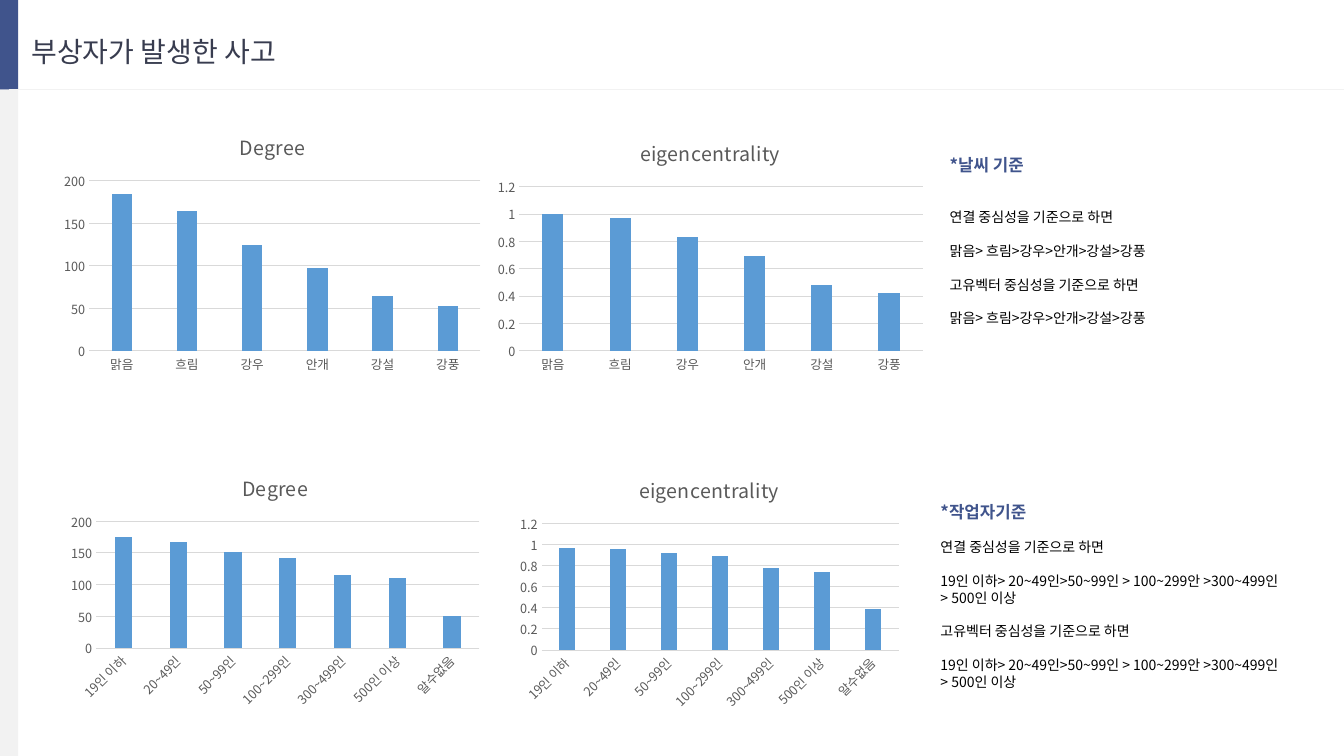
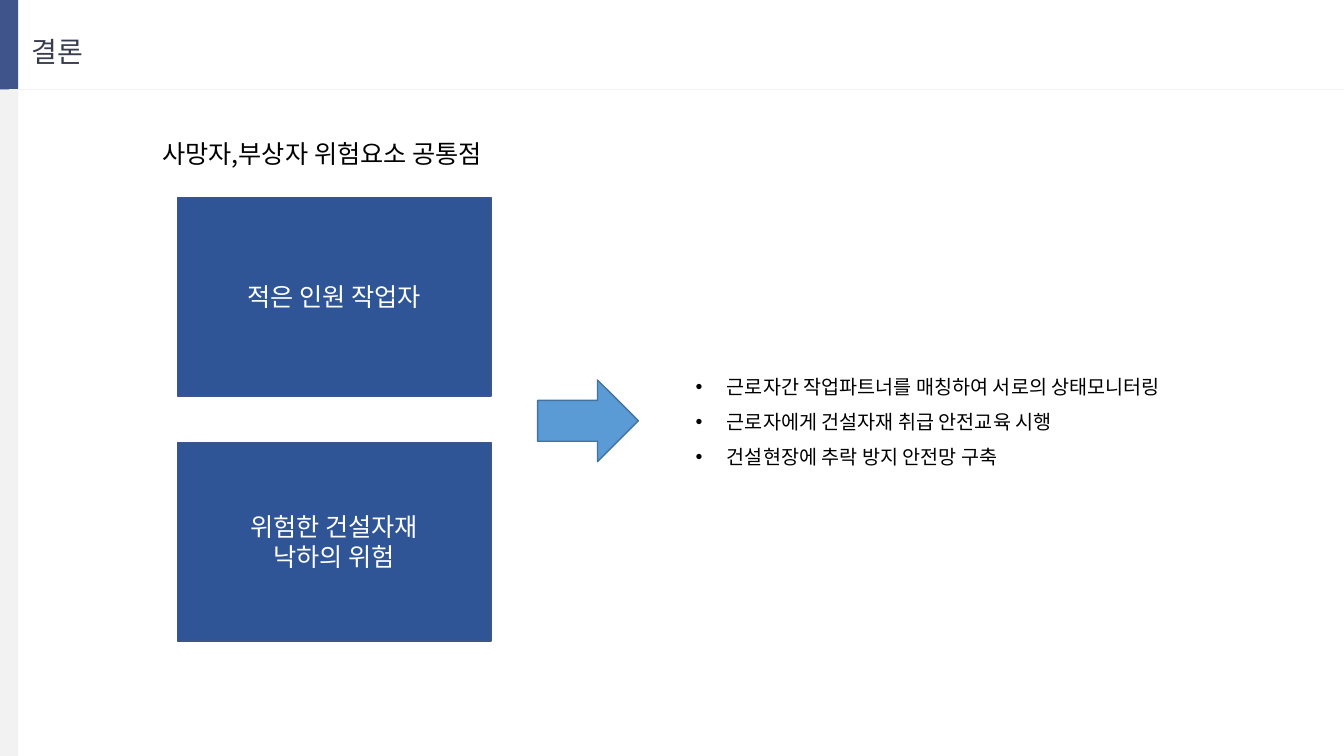
from pptx import Presentation
from pptx.chart.data import CategoryChartData
from pptx.dml.color import RGBColor
from pptx.enum.chart import XL_CHART_TYPE as Kind, XL_TICK_MARK as Tick
from pptx.enum.shapes import MSO_CONNECTOR as Link, MSO_SHAPE as Form
from pptx.enum.text import MSO_ANCHOR as Anchor, MSO_AUTO_SIZE as Fit, PP_ALIGN as Align
from pptx.oxml.ns import qn
from pptx.util import Inches, Pt

WIDE, HIGH = Inches(13.33), Inches(7.5)
FACE = "Noto Sans CJK KR"
HUES = {
    "navy": "40548C", "pale": "F2F2F2", "ink": "383C4F", "black": "000000",
    "white": "FFFFFF", "box": "2F5597", "bar": "5B9BD5", "edge": "43739E",
    "grid": "D9D9D9", "label": "595959",
}
SKY = ["맑음", "흐림", "강우", "안개", "강설", "강풍"]
CREW = ["19인 이하", "20~49인", "50~99인", "100~299인", "300~499인", "500인 이상", "알수없음"]
CHARTS = [
    ("Degree", SKY, [184, 164, 124, 97, 64, 53], (4.13, 15.33, 32.26, 34.67)),
    ("eigencentrality", SKY, [1, 0.97, 0.83, 0.69, 0.48, 0.42], (36.38, 16.13, 32.93, 33.87)),
    ("Degree", CREW, [175, 167, 151, 142, 116, 110, 51], (4.65, 60.4, 31.66, 33.87)),
    ("eigencentrality", CREW, [0.97, 0.96, 0.92, 0.89, 0.78, 0.74, 0.39],
     (38.11, 60.67, 29.33, 33.87)),
]
SCALES = {"Degree": (200, 50), "eigencentrality": (1.2, 0.2)}
BASES = ["연결 중심성을 기준으로 하면", "고유벡터 중심성을 기준으로 하면"]


def place(x, y, w, h):
    """Turn percentages of the slide into left, top, width and height."""
    return [round(side * part / 100) for side, part in zip((WIDE, HIGH) * 2, (x, y, w, h))]


def move(shape, *area):
    shape.left, shape.top, shape.width, shape.height = place(*area)


def hue(name):
    return RGBColor.from_string(HUES[name])


def style(font, size, color, bold=False):
    font.name, font.size, font.bold = FACE, Pt(size), bold
    font.color.rgb = hue(color)


def write(frame, text, size, color, align=Align.LEFT):
    frame.text = text
    for para in frame.paragraphs:
        para.alignment = align
        for run in para.runs:
            style(run.font, size, color)


def hangul(root):
    """Give East Asian text the same typeface as Latin text."""
    for latin in list(root.iter(qn("a:latin"))):
        east = latin.makeelement(qn("a:ea"), {"typeface": FACE})
        latin.addnext(east)


def block(slide, form, area, fill, edge=None):
    shape = slide.shapes.add_shape(form, *place(*area))
    shape.shadow.inherit = False
    shape.fill.solid()
    shape.fill.fore_color.rgb = hue(fill)
    if edge:
        shape.line.color.rgb = hue(edge)
        shape.line.width = Pt(1)
    else:
        shape.line.fill.background()
    return shape


def textbox(slide, area):
    frame = slide.shapes.add_textbox(*place(*area)).text_frame
    frame.word_wrap = True
    return frame


def brand(deck, slide):
    """Draw the side band and rule, and hand them to the master."""
    band = block(slide, Form.RECTANGLE, (0, 0, 1.35, 11.87), "navy")
    side = block(slide, Form.RECTANGLE, (0, 11.87, 1.35, 88.13), "pale")
    left, top, width, _ = place(0.68, 11.87, 99.32, 0)
    rule = slide.shapes.add_connector(Link.STRAIGHT, left, top, left + width, top)
    rule.line.color.rgb = hue("pale")
    rule.line.width = Pt(0.5)
    props = rule.element.spPr
    props.append(props.makeelement(qn("a:effectLst"), {}))
    master = deck.slide_master
    for shape in (band, side, rule):
        master.shapes.element.append(shape.element)
    move(master.placeholders[0], 1.58, 3.87, 90, 5.87)


def head(slide, text):
    write(slide.shapes.title.text_frame, text, 20, "ink")


def graph(slide, name, cats, vals, area):
    data = CategoryChartData()
    data.categories = cats
    data.add_series(name, vals)
    chart = slide.shapes.add_chart(Kind.COLUMN_CLUSTERED, *place(*area), data).chart
    style(chart.font, 10, "black")
    chart.has_legend = False
    chart.has_title = True
    write(chart.chart_title.text_frame, name, 14, "label", Align.CENTER)
    chart.chart_title.include_in_layout = False

    plot = chart.plots[0]
    plot.gap_width, plot.overlap, plot.vary_by_categories = 219, -27, False
    fill = plot.series[0].format.fill
    fill.solid()
    fill.fore_color.rgb = hue("bar")

    base, scale = chart.category_axis, chart.value_axis
    for axis in (base, scale):
        axis.major_tick_mark = axis.minor_tick_mark = Tick.NONE
        style(axis.tick_labels.font, 9, "label")
    scale.minimum_scale = 0
    scale.maximum_scale, scale.major_unit = SCALES[name]
    scale.format.line.fill.background()
    for line in (base.format.line, scale.major_gridlines.format.line):
        line.color.rgb = hue("grid")
        line.width = Pt(0.75)
    # This angle lets the renderer slant labels only when they are crowded
    for body in chart.element.xpath(".//c:catAx/c:txPr/a:bodyPr"):
        body.set("rot", "-60000000")
    hangul(chart.element)


def note(slide, topic, order, gap, area):
    """Write a topic and, for each basis, its ranking lines."""
    frame = textbox(slide, area)
    lines = [topic]
    for basis in BASES:
        lines += [basis, *order]
    write(frame, "\n".join(lines), 10, "black")
    first, *rest = frame.paragraphs
    style(first.runs[0].font, 12, "navy", True)
    for i, para in enumerate(rest):
        if i % (len(order) + 1) < 2:
            para.space_before = Pt(12 if i else gap)


def bullets(frame, lines):
    frame.auto_size = Fit.NONE
    frame.vertical_anchor = Anchor.TOP
    write(frame, "\n".join(lines), 14, "black")
    for para in frame.paragraphs:
        para.line_spacing = 1.5
        para.space_before = Pt(0)
        props = para._p.get_or_add_pPr()
        props.set("marL", str(Inches(0.31)))
        props.set("indent", str(Inches(-0.31)))
        mark = props.makeelement(qn("a:buChar"), {"char": "•"})
        props.append(mark)


def injury(slide):
    head(slide, "부상자가 발생한 사고")
    for spec in CHARTS:
        graph(slide, *spec)
    note(slide, "*날씨 기준", ["맑음> 흐림>강우>안개>강설>강풍"], 24,
         (69.92, 19.87, 18.15, 24.27))
    note(slide, "*작업자기준",
         ["19인 이하> 20~49인>50~99인 > 100~299안 >300~499인", "> 500인 이상"], 12,
         (69.24, 65.73, 30.53, 28.67))


def closing(slide):
    head(slide, "결론")
    write(textbox(slide, (11.33, 17.6, 29.33, 5.33)), "사망자,부상자 위험요소 공통점", 18, "black")
    for i, risk in enumerate(["적은 인원 작업자", "위험한 건설자재\n낙하의 위험"]):
        box = block(slide, Form.RECTANGLE, (13.2, 26.13 + 32.4 * i, 23.33, 26.27), "box", "navy")
        write(box.text_frame, risk, 18, "white", Align.CENTER)
    block(slide, Form.RIGHT_ARROW, (40, 50.27, 7.5, 10.8), "bar", "edge")
    body = slide.placeholders[1]
    move(body, 51.01, 47.33, 40.44, 18.67)
    bullets(body.text_frame, [
        "근로자간 작업파트너를 매칭하여 서로의 상태모니터링",
        "근로자에게 건설자재 취급 안전교육 시행",
        "건설현장에 추락 방지 안전망 구축",
    ])


def main():
    deck = Presentation()
    deck.slide_width, deck.slide_height = WIDE, HIGH
    for layout, build in ((5, injury), (1, closing)):
        slide = deck.slides.add_slide(deck.slide_layouts[layout])
        if build is injury:
            brand(deck, slide)
        build(slide)
        hangul(slide.shapes.element)
    deck.save("out.pptx")


if __name__ == "__main__":
    main()
